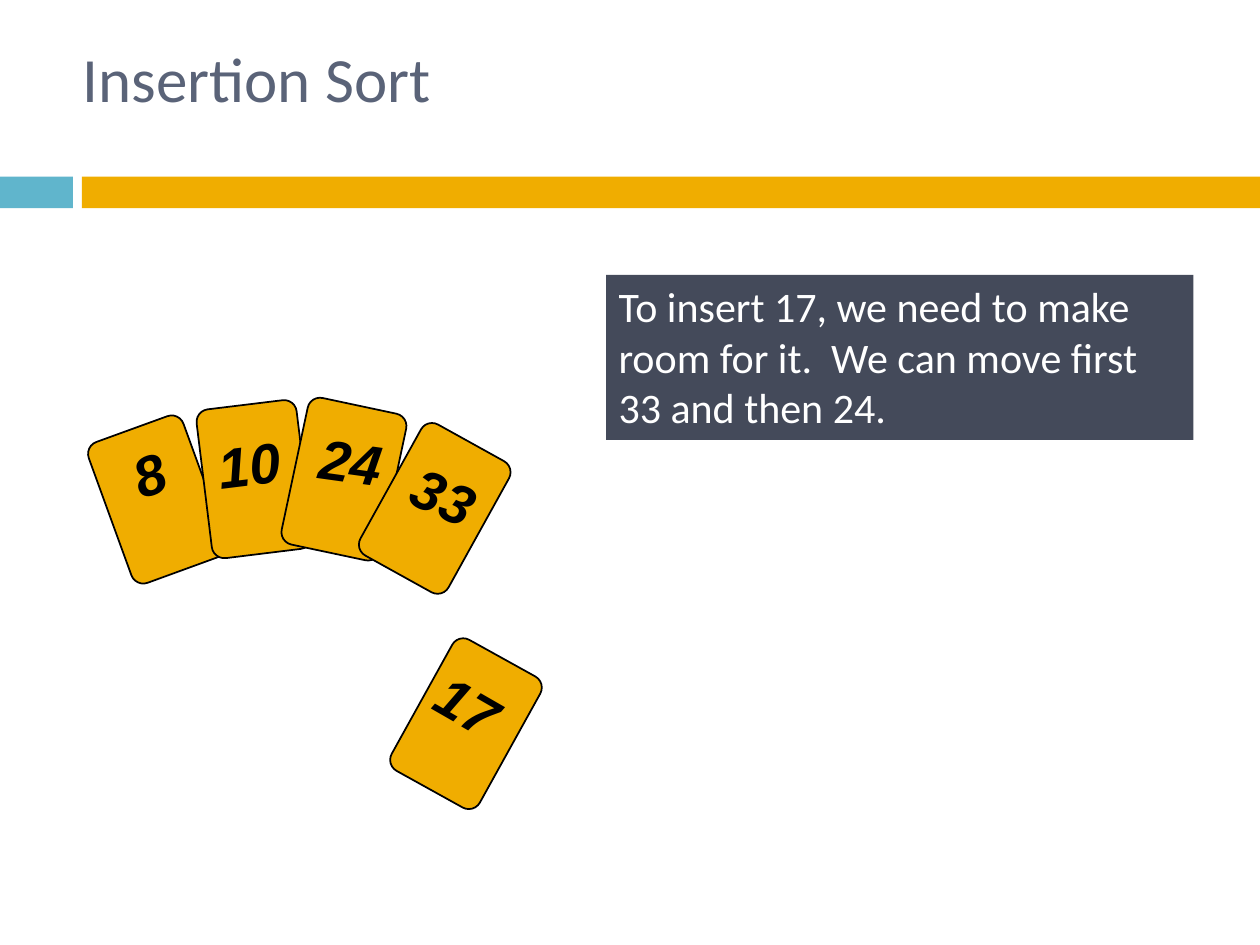
from pptx import Presentation
from pptx.dml.color import RGBColor as RGB
from pptx.enum.shapes import MSO_SHAPE as SHAPE
from pptx.enum.text import MSO_ANCHOR as ANCHOR, MSO_AUTO_SIZE as AUTO, PP_ALIGN as ALIGN
from pptx.util import Cm, Pt

COLORS = {"blue": "60B5CC", "gold": "F0AD00", "slate": "444A5A",
          "title": "5A6378", "white": "FFFFFF", "black": "000000"}
CARD_W, CARD_H = 2.03, 3.02
NUMBER_H = 1.62

# Value: card (left, top, rotation), number (left, top, width, rotation)
SORTED_CARDS = {
    "8": ((2.16, 8.56, 340), (2.44, 8.74, 1.14, 341)),
    "10": ((4.11, 8.15, 353), (4.14, 8.53, 1.78, 353)),
    "24": ((5.92, 8.15, 12), (6.2, 8.48, 1.78, 8)),
}
LOOSE_CARDS = {
    "17": ((8.38, 13.08, 29), (8.56, 13.41, 1.78, 30)),
    "33": ((7.75, 8.74, 29), (8.08, 9.19, 1.78, 25)),
}


def color(name):
    return RGB.from_string(COLORS[name])


def add_block(s, kind, left, top, width, height, fill):
    sp = s.shapes.add_shape(kind, Cm(left), Cm(top), Cm(width), Cm(height))
    sp.shadow.inherit = False
    sp.fill.solid()
    sp.fill.fore_color.rgb = color(fill)
    sp.line.fill.background()
    return sp


def set_text(sp, text, size, fill, font="Calibri", wrap=True, anchor=ANCHOR.TOP):
    tf = sp.text_frame
    tf.word_wrap = wrap
    tf.vertical_anchor = anchor
    tf.text = text
    p = tf.paragraphs[0]
    p.alignment = ALIGN.LEFT
    r = p.runs[0]
    r.font.name = font
    r.font.size = Pt(size)
    r.font.color.rgb = color(fill)
    return r


def add_text(s, left, top, width, height, text, size, fill, **options):
    sp = s.shapes.add_textbox(Cm(left), Cm(top), Cm(width), Cm(height))
    return sp, set_text(sp, text, size, fill, **options)


def add_card(s, left, top, rotation):
    sp = add_block(s, SHAPE.ROUNDED_RECTANGLE, left, top, CARD_W, CARD_H, "gold")
    sp.adjustments[0] = 0.125
    sp.line.color.rgb = color("black")
    sp.line.width = Pt(1)
    sp.rotation = rotation


def add_number(s, text, left, top, width, rotation):
    sp, r = add_text(s, left, top, width, NUMBER_H, text, 32, "black",
                     font="Arial", wrap=False)
    sp.text_frame.auto_size = AUTO.SHAPE_TO_FIT_TEXT
    sp.rotation = rotation
    r.font.bold = r.font.italic = True


def main():
    prs = Presentation()
    prs.slide_width, prs.slide_height = Cm(25.4), Cm(19.05)
    s = prs.slides.add_slide(prs.slide_layouts[6])

    # Divider bars
    add_block(s, SHAPE.RECTANGLE, 0, 3.56, 1.47, 0.64, "blue")
    add_block(s, SHAPE.RECTANGLE, 1.65, 3.56, 23.75, 0.64, "gold")

    # Explanation and title
    note = add_block(s, SHAPE.RECTANGLE, 12.22, 5.54, 11.84, 3.33, "slate")
    set_text(note, "To insert 17, we need to make room for it.  "
             "We can move first 33 and then 24.", 24, "white")
    add_text(s, 1.42, 1.73, 17.58, 0.71, "Insertion Sort", 36, "title",
             anchor=ANCHOR.BOTTOM)

    # Sorted hand: numbers lie above all three cards
    for card, _ in SORTED_CARDS.values():
        add_card(s, *card)
    for value, (_, number) in SORTED_CARDS.items():
        add_number(s, value, *number)

    # Card to insert, and the last card of the hand
    for value, (card, number) in LOOSE_CARDS.items():
        add_card(s, *card)
        add_number(s, value, *number)

    prs.save("out.pptx")


if __name__ == "__main__":
    main()
